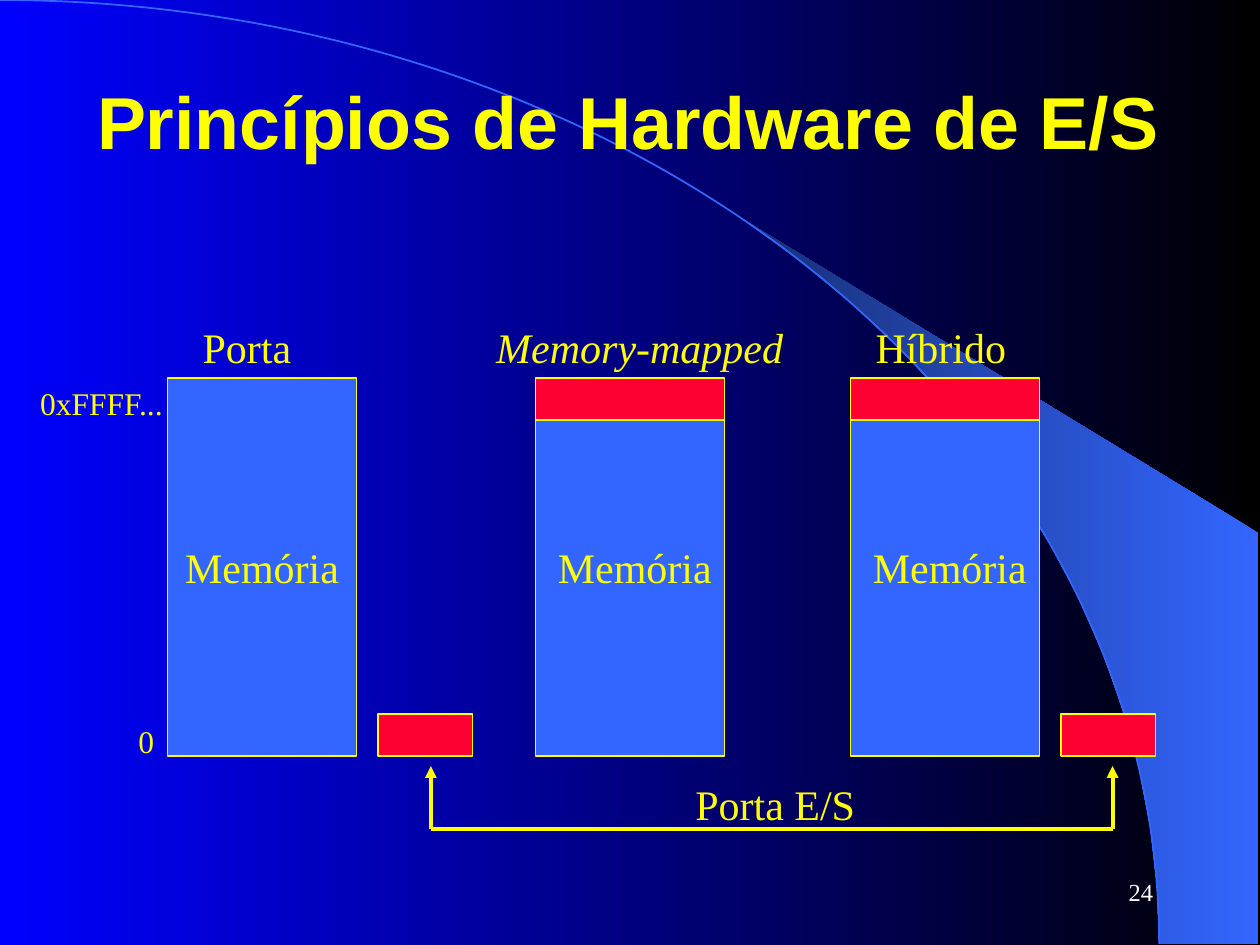
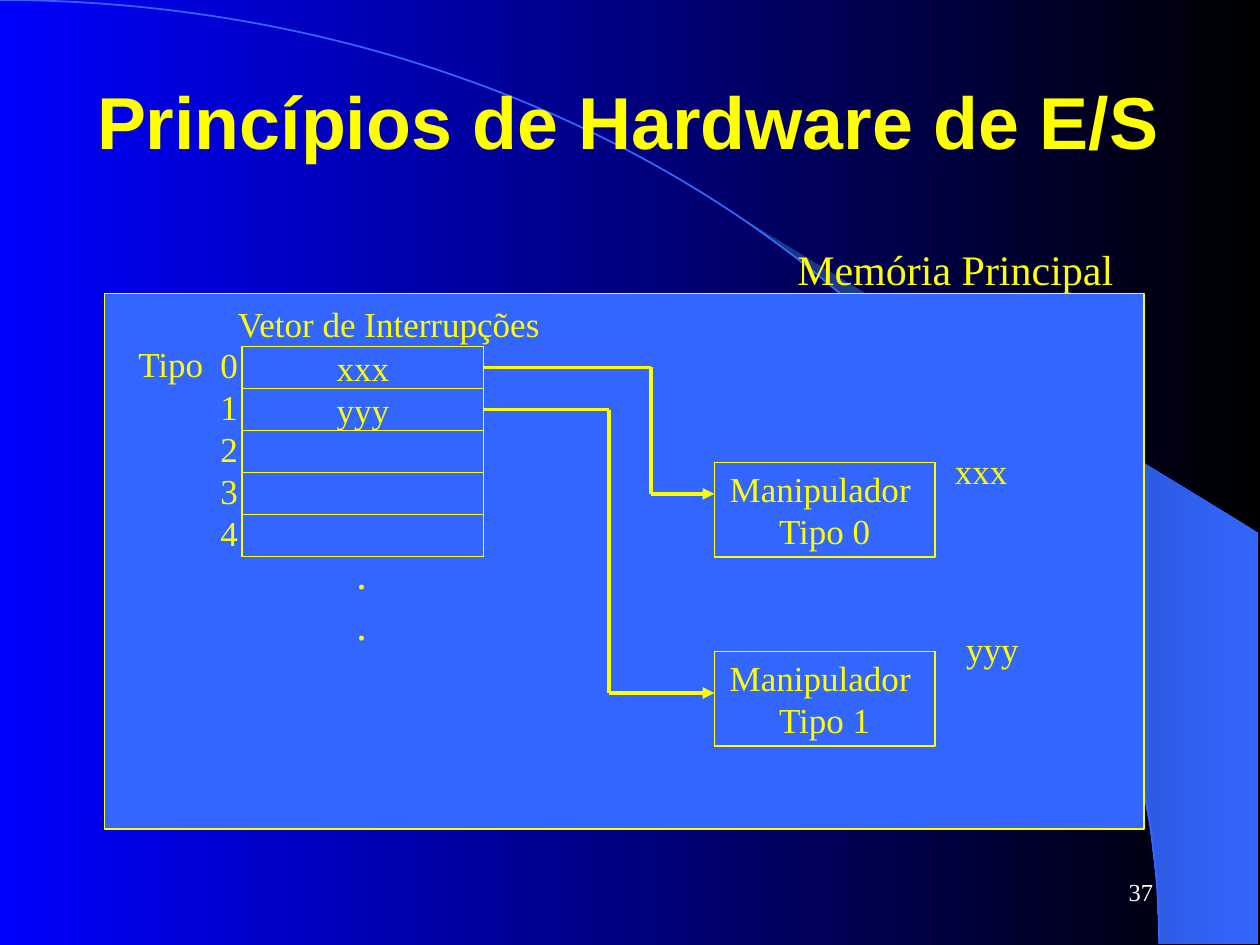
import math

from lxml import etree
from pptx import Presentation
from pptx.dml.color import RGBColor
from pptx.enum.shapes import MSO_CONNECTOR, MSO_SHAPE
from pptx.enum.text import MSO_ANCHOR, MSO_AUTO_SIZE, PP_ALIGN
from pptx.oxml.ns import qn
from pptx.util import Inches, Pt

RECTANGLE, ARC = MSO_SHAPE.RECTANGLE, MSO_SHAPE.ARC
STRAIGHT = MSO_CONNECTOR.STRAIGHT
LEFT, CENTER, RIGHT = PP_ALIGN.LEFT, PP_ALIGN.CENTER, PP_ALIGN.RIGHT
TOP, MIDDLE = MSO_ANCHOR.TOP, MSO_ANCHOR.MIDDLE
GROW, FIXED = MSO_AUTO_SIZE.SHAPE_TO_FIT_TEXT, MSO_AUTO_SIZE.NONE
RIGHT_SIDE = 3

BLACK, DEEP_BLUE, NAVY = "000000", "0000FF", "172F75"
BLUE, RED, YELLOW, WHITE = "3366FF", "FF0033", "FFFF00", "FFFFFF"

TITLE = "Princípios de Hardware de E/S"
BODY = {"name": "Times New Roman", "size": Pt(24), "bold": False}
TITLE_FONT = {"name": "Arial", "size": Pt(42), "bold": True}
LINE_HEIGHT = 1.2
ROW = 1 / 3
ARC_WIDTH, ARC_HEIGHT = 9.2, 7.49
WEDGE_START, WEDGE_STEPS = 5.89, 14


def rgb(color):
    return RGBColor.from_string(color)


def set_gradient(fill, start, end):
    fill.gradient()
    fill.gradient_angle = 180
    for stop, color in zip(fill.gradient_stops, (start, end)):
        stop.color.rgb = rgb(color)


def write(shape, lines, font, color=YELLOW, align=LEFT, anchor=TOP):
    """Fill a shape with one paragraph per line."""
    frame = shape.text_frame
    frame.vertical_anchor = anchor
    frame.text = "\n".join(lines)
    for paragraph in frame.paragraphs:
        paragraph.alignment = align
        paragraph.space_before = Pt(0)
        paragraph.line_spacing = Pt(LINE_HEIGHT * font["size"].pt)
        for name, value in font.items():
            setattr(paragraph.font, name, value)
        paragraph.font.color.rgb = rgb(color)


def add_label(slide, lines, box, size=24, italic=False):
    label = slide.shapes.add_textbox(*map(Inches, box))
    label.text_frame.word_wrap = False
    label.text_frame.auto_size = GROW
    write(label, lines, {**BODY, "size": Pt(size), "italic": italic})


def add_box(slide, box, color=BLUE, lines=(), size=24):
    rectangle = slide.shapes.add_shape(RECTANGLE, *map(Inches, box))
    rectangle.shadow.inherit = False
    rectangle.fill.solid()
    rectangle.fill.fore_color.rgb = rgb(color)
    rectangle.line.color.rgb = rgb(YELLOW)
    rectangle.line.width = Pt(0.75)
    if lines:
        rectangle.text_frame.word_wrap = False
        write(rectangle, lines, {**BODY, "size": Pt(size)},
              align=CENTER, anchor=MIDDLE)
    return rectangle


def add_line(slide, start, end, arrow=False):
    line = slide.shapes.add_connector(STRAIGHT, *map(Inches, start + end))
    line.line.color.rgb = rgb(YELLOW)
    line.line.width = Pt(2.25)
    properties = line._element.spPr
    etree.SubElement(properties, qn("a:effectLst"))
    if arrow:
        outline = properties.find(qn("a:ln"))
        etree.SubElement(outline, qn("a:tailEnd"), type="triangle")
    return line


def wedge_points():
    """Follow the arc to the bottom edge, then close along the right edge."""
    first = math.asin(WEDGE_START / ARC_WIDTH)
    step = (math.pi / 2 - first) / WEDGE_STEPS
    angles = [first + step * index for index in range(WEDGE_STEPS + 1)]
    curve = [(ARC_WIDTH * math.sin(angle), ARC_HEIGHT * (1 - math.cos(angle)))
             for angle in angles]
    return curve + [(9.99, ARC_HEIGHT), (9.99, 4.23)]


def add_decoration(slide):
    # Shaded wedge outside the arc
    corners = [(Inches(x), Inches(y)) for x, y in wedge_points()]
    builder = slide.shapes.build_freeform(*corners[0])
    builder.add_line_segments(corners[1:], close=True)
    wedge = builder.convert_to_shape()
    wedge.shadow.inherit = False
    set_gradient(wedge.fill, BLUE, NAVY)
    wedge.line.fill.background()
    # Thin arc: the upper right quarter of an ellipse
    box = (-ARC_WIDTH, 0, 2 * ARC_WIDTH, 2 * ARC_HEIGHT)
    arc = slide.shapes.add_shape(ARC, *map(Inches, box))
    arc.shadow.inherit = False
    arc.fill.background()
    arc.line.color.rgb = rgb(BLUE)
    arc.line.width = Pt(1)


def add_base_slide(presentation, number):
    """Add a slide with decoration, title and page number."""
    slide = presentation.slides.add_slide(presentation.slide_layouts[5])
    add_decoration(slide)
    title = slide.shapes.title
    title._element.getparent().append(title._element)  # in front of the arc
    frame = {"left": 0.67, "top": 0.33, "width": 9, "height": 1.25}
    for name, value in frame.items():
        setattr(title, name, Inches(value))
    title.text_frame.auto_size = FIXED
    write(title, [TITLE], TITLE_FONT, anchor=MIDDLE)
    page = slide.shapes.add_textbox(*map(Inches, (7.17, 6.83, 2.08, 0.5)))
    page.text_frame.word_wrap = True
    write(page, [str(number)], {**BODY, "size": Pt(14)}, WHITE, RIGHT, MIDDLE)
    return slide


def build_port_slide(presentation):
    slide = add_base_slide(presentation, 24)
    # Memory columns
    add_box(slide, (1.33, 3, 1.5, 3), lines=["Memória"])
    for left, label_left in ((4.25, 4.33), (6.75, 6.83)):
        add_box(slide, (left, 3 + ROW, 1.5, 3 - ROW))
        add_box(slide, (left, 3, 1.5, ROW), RED)
        add_label(slide, ["Memória"], (label_left, 4.25, 1.43, 0.5))
    # Port areas with the bracket that joins them
    for left, arrow_x in ((3, 3.42), (8.42, 8.83)):
        add_box(slide, (left, 6 - ROW, 0.75, ROW), RED)
        add_line(slide, (arrow_x, 6.58), (arrow_x, 6.08), arrow=True)
    add_line(slide, (3.42, 6.58), (8.83, 6.58))
    add_label(slide, ["Porta E/S"], (5.42, 6.13, 1.48, 0.5))
    # Column headings
    add_label(slide, ["Porta"], (1.51, 2.5, 0.92, 0.5))
    add_label(slide, ["Memory-mapped"], (3.84, 2.5, 2.5, 0.5), italic=True)
    add_label(slide, ["Híbrido"], (6.85, 2.5, 1.25, 0.5))
    # Addresses
    add_label(slide, ["0xFFFF..."], (0.22, 3, 1.2, 0.4), 18)
    add_label(slide, ["0"], (1, 5.68, 0.33, 0.4), 18)


def build_interrupt_slide(presentation):
    slide = add_base_slide(presentation, 37)
    # Main memory
    add_box(slide, (0.83, 2.33, 8.25, 4.25))
    add_label(slide, ["Memória Principal"], (6.23, 1.88, 2.73, 0.5))
    # Interrupt vector
    entries = ["xxx", "yyy", "", "", ""]
    rows = [add_box(slide, (1.92, 2.75 + ROW * index, 1.92, ROW),
                    lines=[entry] if entry else (), size=20)
            for index, entry in enumerate(entries)]
    add_label(slide, ["Vetor de Interrupções"], (1.79, 2.35, 2.63, 0.44), 20)
    add_label(slide, ["Tipo"], (1, 2.67, 0.73, 0.44), 20)
    numbers = [str(index) for index in range(len(entries))]
    add_label(slide, numbers, (1.65, 2.68, 0.35, 1.77), 20)
    add_label(slide, [".", "."], (2.73, 4.3, 0.29, 0.9))
    # Handlers, each reached from its vector entry
    handlers = [(3.67, 5.17, 3.92, (7.48, 3.52)),
                (5.17, 4.83, 5.5, (7.57, 4.93))]
    for index, (top, bend_x, end_y, label_at) in enumerate(handlers):
        add_box(slide, (5.67, top, 1.75, 0.75),
                lines=["Manipulador ", f"Tipo {index}"], size=20)
        add_label(slide, [entries[index]], label_at + (0.64, 0.44), 20)
        start_y = 2.75 + ROW * (index + 0.5)
        exit_line = add_line(slide, (3.84, start_y), (bend_x, start_y))
        exit_line.begin_connect(rows[index], RIGHT_SIDE)
        add_line(slide, (bend_x, start_y), (bend_x, end_y))
        add_line(slide, (bend_x, end_y), (5.67, end_y), arrow=True)


def main():
    presentation = Presentation()
    presentation.slide_width = Inches(10)
    presentation.slide_height = Inches(7.5)
    set_gradient(presentation.slide_master.background.fill, BLACK, DEEP_BLUE)
    build_port_slide(presentation)
    build_interrupt_slide(presentation)
    presentation.save("out.pptx")


if __name__ == "__main__":
    main()
